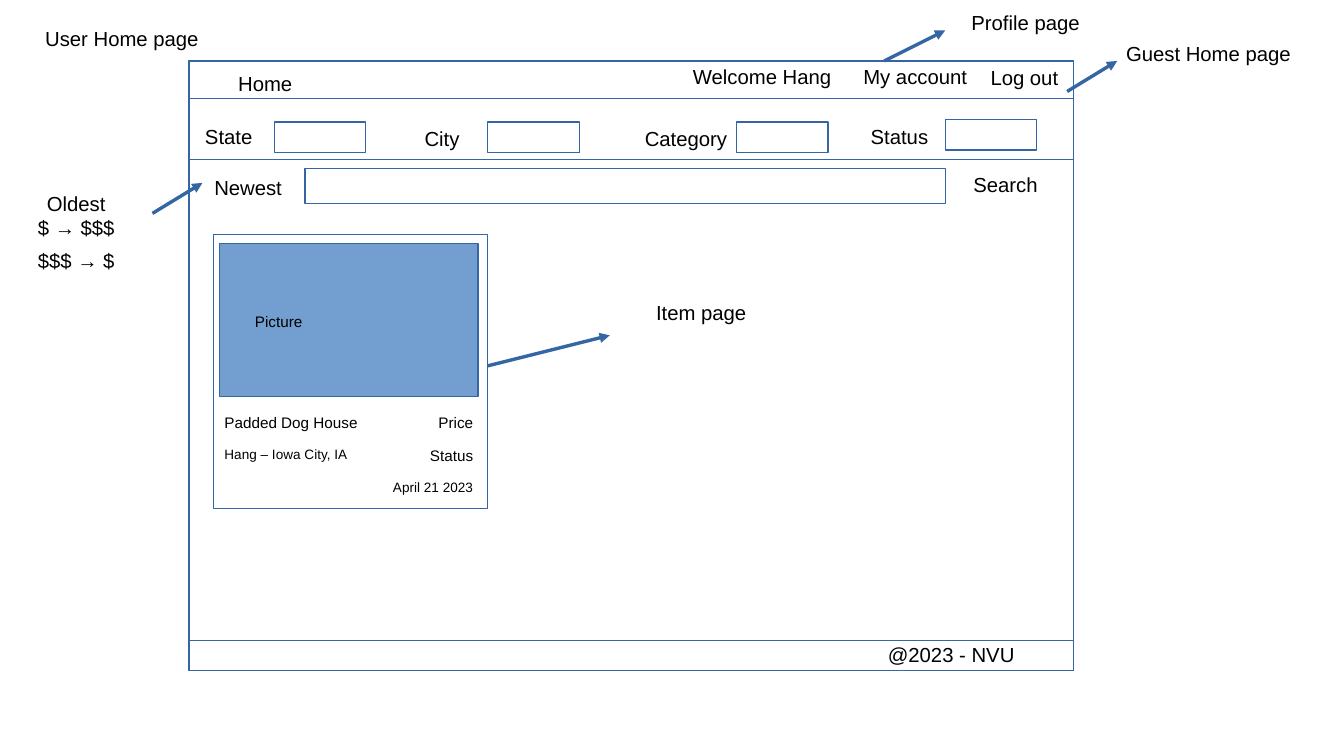
from lxml import etree
from pptx import Presentation
from pptx.dml.color import RGBColor
from pptx.enum.shapes import MSO_CONNECTOR, MSO_SHAPE
from pptx.enum.text import MSO_ANCHOR, MSO_AUTO_SIZE, PP_ALIGN
from pptx.oxml.ns import qn
from pptx.util import Inches, Pt

RECT = MSO_SHAPE.RECTANGLE
STRAIGHT = MSO_CONNECTOR.STRAIGHT
MIDDLE = MSO_ANCHOR.MIDDLE
NO_FIT = MSO_AUTO_SIZE.NONE
LEFT, CENTER, RIGHT = PP_ALIGN.LEFT, PP_ALIGN.CENTER, PP_ALIGN.RIGHT
TITLE_ONLY = 5

CELL = 0.25  # side of one grid cell, in inches
BLUE, PALE, WHITE, BLACK = "3465A4", "729FCF", "FFFFFF", "000000"
FONT = "Arial"

# Wireframe measures, in grid cells
PAGE_X, PAGE_Y, PAGE_W, PAGE_H = 6.2, 2, 29, 20
NAV_H, FILTER_H, FOOTER_H = 1.24, 2, 1
FIELD_W, FIELD_H = 3, 1
LABEL_H, TALL_H = 1.08, 1.48
NOTE_W = 6


def grid(*cells):
    return [Inches(n * CELL) for n in cells]


def color(value):
    return RGBColor.from_string(value)


def box(slide, x, y, w, h, fill=WHITE):
    sp = slide.shapes.add_shape(RECT, *grid(x, y, w, h))
    sp.shadow.inherit = False
    sp.fill.solid()
    sp.fill.fore_color.rgb = color(fill)
    sp.line.color.rgb = color(BLUE)
    sp.line.width = 0


def write(sp, text, size=12, align=CENTER):
    tf = sp.text_frame
    tf.text = text
    tf.word_wrap = True
    tf.auto_size = NO_FIT
    tf.vertical_anchor = MIDDLE
    tf.margin_left = tf.margin_right = tf.margin_top = tf.margin_bottom = 0
    p = tf.paragraphs[0]
    p.alignment = align
    p.font.name = FONT
    p.font.size = Pt(size)
    p.font.color.rgb = color(BLACK)


def label(slide, text, x, y, w=FIELD_W, h=LABEL_H, size=12, align=CENTER):
    write(slide.shapes.add_textbox(*grid(x, y, w, h)), text, size, align)


def arrow(slide, x1, y1, x2, y2):
    line = slide.shapes.add_connector(STRAIGHT, *grid(x1, y1, x2, y2))
    line.line.color.rgb = color(BLUE)
    line.line.width = 0
    sp_pr = line._element.spPr
    etree.SubElement(sp_pr.find(qn("a:ln")), qn("a:tailEnd"), type="triangle")
    etree.SubElement(sp_pr, qn("a:effectLst"))


def title(slide, text):
    sp = slide.shapes.title
    sp.left, sp.top, sp.width, sp.height = grid(1, 0.52, NOTE_W, TALL_H)
    write(sp, text)


def page_frame(slide):
    box(slide, PAGE_X, PAGE_Y, PAGE_W, PAGE_H)
    box(slide, PAGE_X, PAGE_Y, PAGE_W, NAV_H)
    box(slide, PAGE_X, PAGE_Y + NAV_H, PAGE_W, FILTER_H)
    box(slide, PAGE_X, PAGE_Y + PAGE_H - FOOTER_H, PAGE_W, FOOTER_H)
    label(slide, "@2023 - NVU", 27.2, 20.92, 8)


def nav_bar(slide):
    label(slide, "Home", PAGE_X, PAGE_Y, 5, TALL_H)
    label(slide, "Welcome Hang", 22, 1.76, NOTE_W, TALL_H)
    label(slide, "My account", 27.52, 1.76, 5, TALL_H)
    label(slide, "Log out", 32, PAGE_Y, 3.2)


def filters(slide):
    for text, label_x, label_y, field_x, field_y in (
        ("State", 6, 3.92, 9, 4),
        ("City", 13, 4, 16, 4),
        ("Category", 21, 4, 24.16, 4),
        ("Status", 28, 3.92, 31, 3.92),
    ):
        label(slide, text, label_x, label_y)
        box(slide, field_x, field_y, FIELD_W, FIELD_H)


def search_row(slide):
    label(slide, "Newest", 6.64, 5.6)
    box(slide, 10, 5.52, 21, 1.16)
    label(slide, "Search", 31.48, 5.52)


def item_card(slide):
    box(slide, 7, 7.68, 9, 9)
    box(slide, 7.2, 8, 8.48, 5, PALE)
    wide, right_edge = 5.64, 15.52
    label(slide, "Picture", 8.36, 10, wide, size=9, align=LEFT)
    for text, y, size in (("Padded Dog House", 13.32, 9),
                          ("Hang – Iowa City, IA", 14.36, 8)):
        label(slide, text, 7.36, y, wide, size=size, align=LEFT)
    for text, y, w, size in (("Price", 13.32, 2, 9), ("Status", 14.4, 2, 9),
                             ("April 21 2023", 15.44, wide, 8)):
        label(slide, text, right_edge - w, y, w, size=size, align=RIGHT)


def notes_around_page(slide):
    # Sort choices
    for text, y in (("Oldest", 6.12), ("$ → $$$", 6.92), ("$$$ → $", 8)):
        label(slide, text, 1, y)
    arrow(slide, 5, 7, 6.64, 6)

    # Linked pages
    for text, x, y, ends in (
        ("Profile page", 30.64, 0, (29, 2, 31, 1)),
        ("Guest Home page", 36.64, 1, (35, 3, 36.64, 2)),
        ("Item page", 20, 9.52, (16, 12, 20, 11)),
    ):
        label(slide, text, x, y, NOTE_W, TALL_H)
        arrow(slide, *ends)


def main():
    prs = Presentation()
    prs.slide_width, prs.slide_height = Inches(11.02), Inches(6.2)
    slide = prs.slides.add_slide(prs.slide_layouts[TITLE_ONLY])
    title(slide, "User Home page")
    page_frame(slide)
    nav_bar(slide)
    filters(slide)
    search_row(slide)
    item_card(slide)
    notes_around_page(slide)
    prs.save("out.pptx")


if __name__ == "__main__":
    main()
